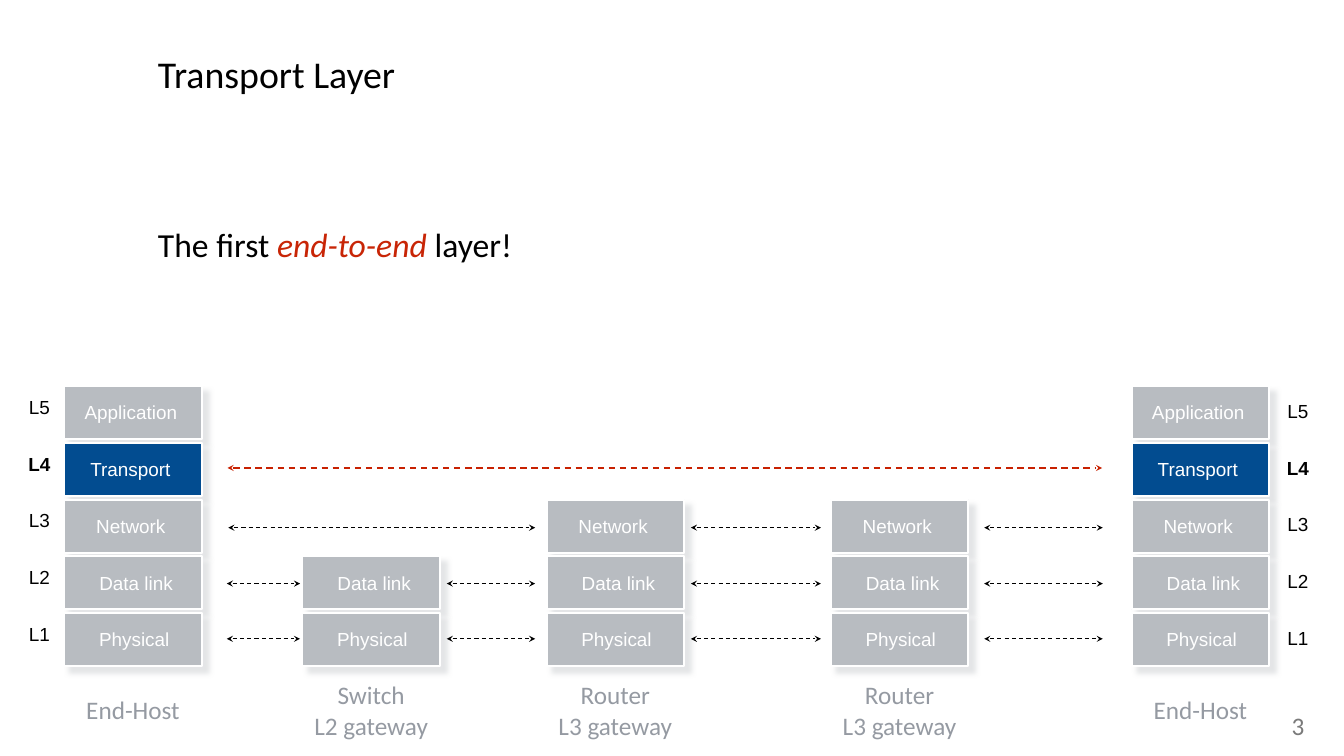
import lxml.etree
import pptx
import pptx.dml.color
import pptx.enum.dml
import pptx.enum.shapes
import pptx.enum.text
import pptx.oxml.ns
import pptx.util

PX = 9144


class Theme:
    black = "000000"
    white = "FFFFFF"
    red = "C82506"
    arrow = "C82101"
    blue = "024C90"
    grey = "B8BCC1"
    shade = "DCDEE0"
    role = "959AA2"
    page = "7A7A7A"
    sans = "Calibri"
    arial = "Arial"
    title = 36
    body = 32
    note = 24
    label = 18


rgb = pptx.dml.color.RGBColor.from_string
qn = pptx.oxml.ns.qn
align = pptx.enum.text.PP_ALIGN
anchor = pptx.enum.text.MSO_ANCHOR
rect = pptx.enum.shapes.MSO_SHAPE.RECTANGLE

deck = pptx.Presentation()
deck.slide_width = 1778 * PX
deck.slide_height = 1000 * PX
slide = deck.slides.add_slide(deck.slide_layouts[6])
shapes = slide.shapes


def write(text, at, fill=None, size=Theme.label, font=Theme.arial, color=Theme.black,
          bold=False, side=align.CENTER, hold=anchor.MIDDLE, pad=(0, 0, 0, 0),
          wrap=False, space=None):
    place = [n * PX for n in at]
    if fill:
        shape = shapes.add_shape(rect, *place)
        shape.shadow.inherit = False
        shape.fill.solid()
        shape.fill.fore_color.rgb = rgb(fill)
        shape.line.fill.background()
    else:
        shape = shapes.add_textbox(*place)
    frame = shape.text_frame
    frame.margin_left, frame.margin_top, frame.margin_right, frame.margin_bottom = [
        n * PX for n in pad]
    frame.word_wrap = wrap
    frame.vertical_anchor = hold
    if not wrap:
        frame.auto_size = pptx.enum.text.MSO_AUTO_SIZE.SHAPE_TO_FIT_TEXT
    for row, line in enumerate(text.split("\n")):
        para = frame.paragraphs[0] if row == 0 else frame.add_paragraph()
        para.alignment = side
        if space:
            para.line_spacing = space
        for part, words in enumerate(line.split("*")):
            run = para.add_run()
            run.text = words
            run.font.size = pptx.util.Pt(size)
            run.font.name = font
            run.font.bold = bold
            run.font.italic = part % 2 == 1
            run.font.color.rgb = rgb(Theme.red if part % 2 else color)


write("3", (1694, 939, 46, 50), size=Theme.note, font=Theme.sans, color=Theme.page,
      hold=anchor.TOP)
for text, top, high, size in (
        ("Transport Layer", 0, 185, Theme.title),
        ("The first *end-to-end *layer!", 240, 157, Theme.body)):
    write(text, (174, top, 1431, high), size=size, font=Theme.sans, side=align.LEFT,
          pad=(35, 10, 0, 0), wrap=True)

layers = (
    ("Application", 7, 168),
    ("Transport", 18, 145),
    ("Network", 27, 128),
    ("Data link", 31, 134),
    ("Physical", 31, 129),
)
stacks = (
    (85, 5, "End-Host"),
    (1497, 5, "End-Host"),
    (400, 2, "Switch\nL2 gateway"),
    (723, 3, "Router\nL3 gateway"),
    (1099, 3, "Router\nL3 gateway"),
)
for left, count, role in stacks:
    for step in range(5 - count, 5):
        name, inset, wide = layers[step]
        top = 511 + 75 * step
        fill = Theme.blue if name == "Transport" else Theme.grey
        box = shapes.add_shape(rect, left * PX, top * PX, 182 * PX, 70 * PX)
        box.fill.solid()
        box.fill.fore_color.rgb = rgb(fill)
        box.line.color.rgb = rgb(Theme.white)
        box.line.width = pptx.util.Pt(2)
        box.shadow.inherit = False
        glow = lxml.etree.SubElement(
            box._element.spPr.find(qn("a:effectLst")), qn("a:outerShdw"),
            blurRad=str(pptx.util.Pt(5)), dist=str(pptx.util.Pt(8)),
            dir="2700000", algn="ctr", rotWithShape="0")
        tint = lxml.etree.SubElement(glow, qn("a:srgbClr"), val=Theme.shade)
        lxml.etree.SubElement(tint, qn("a:alpha"), val="75000")
        write(name, (left + inset, top + 6, wide, 57), fill=fill, color=Theme.white,
              pad=(4, 4, 10, 4))
    write(role, (left + 8, 893, 166, 92), size=Theme.note, font=Theme.sans,
          color=Theme.role, pad=(6, 6, 6, 6))

for left, first in ((32, 525), (1697, 530)):
    for step in range(5):
        write(f"L{5 - step}", (left, first + 75 * step, 44, 31), bold=step == 1,
              hold=anchor.TOP, pad=(3, 3, 7, 3), space=0.85)

hops = ((300, 397), (591, 708), (914, 1086), (1302, 1459))
links = (
    (619, Theme.arrow, 1.5, ((301, 1458),)),
    (698, Theme.black, 1, ((302, 708),) + hops[2:]),
    (772, Theme.black, 1, hops),
    (845, Theme.black, 1, hops),
)
for y, color, width, spans in links:
    for start, end in spans:
        link = shapes.add_connector(pptx.enum.shapes.MSO_CONNECTOR.STRAIGHT,
                                    start * PX, y * PX, end * PX, y * PX)
        link.line.color.rgb = rgb(color)
        link.line.width = pptx.util.Pt(width)
        link.line.dash_style = pptx.enum.dml.MSO_LINE.DASH
        for tip in ("a:headEnd", "a:tailEnd"):
            lxml.etree.SubElement(link.line._get_or_add_ln(), qn(tip), type="stealth")
        lxml.etree.SubElement(link._element.spPr, qn("a:effectLst"))

deck.save("out.pptx")
